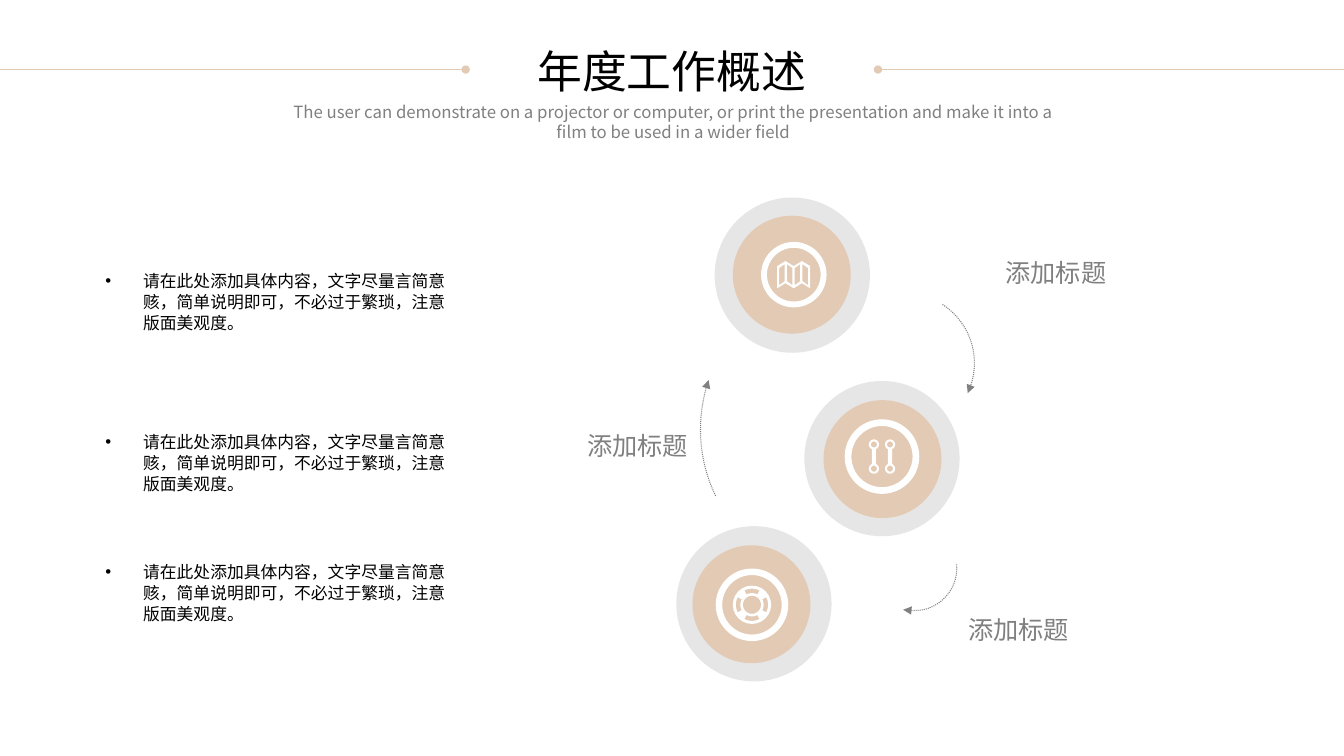
from dataclasses import dataclass
from math import cos, radians, sin

from lxml.etree import SubElement
from pptx import Presentation
from pptx.dml.color import RGBColor
from pptx.enum.dml import MSO_LINE
from pptx.enum.shapes import MSO_CONNECTOR, MSO_SHAPE
from pptx.enum.text import MSO_ANCHOR, MSO_AUTO_SIZE, PP_ALIGN
from pptx.oxml.ns import qn
from pptx.util import Inches, Pt

# Square grid: one cell is a tenth of an inch, so 133.33 columns by 75 rows
CELL = Inches(0.1)
COLUMNS, ROWS = 133.33, 75
FONT = "Noto Sans CJK SC"
BLACK = RGBColor(0x00, 0x00, 0x00)
WHITE = RGBColor(0xFF, 0xFF, 0xFF)
GRAY = RGBColor(0x80, 0x80, 0x80)
PALE_GRAY = RGBColor(0xE6, 0xE6, 0xE6)
SAND = RGBColor(0xE3, 0xCA, 0xB4)

BULLET = "请在此处添加具体内容，文字尽量言简意赅，简单说明即可，不必过于繁琐，注意版面美观度。"
SUBTITLE = ("The user can demonstrate on a projector or computer, or print the "
            "presentation and make it into a film to be used in a wider field")

Point = tuple[float, float]
Contour = list[Point]


@dataclass
class Badge:
    halo: Point
    disc: Point
    ring: Point
    ring_size: float
    icon: list[Contour]


@dataclass
class Label:
    left: float
    top: float


@dataclass
class Rule:
    start: float
    end: float
    dot: str


def cells(value: float) -> int:
    return round(value * CELL)


def arc(center: Point, radius: float, start: float = 0, end: float = 360) -> Contour:
    """Points on a circle, clockwise, in degrees from the right."""
    steps = 24
    angles = [radians(start + (end - start) * i / steps) for i in range(steps + 1)]
    return [(center[0] + radius * cos(a), center[1] + radius * sin(a)) for a in angles]


def curve(*controls: Point) -> Contour:
    """Points on a chain of cubic curves that share their end points."""
    points = [controls[0]]
    for first in range(0, len(controls) - 1, 3):
        a, b, c, d = controls[first:first + 4]
        for i in range(1, 17):
            t = i / 16
            weights = ((1 - t) ** 3, 3 * t * (1 - t) ** 2, 3 * t * t * (1 - t), t ** 3)
            points.append(tuple(sum(w * p[k] for w, p in zip(weights, (a, b, c, d)))
                                for k in (0, 1)))
    return points


def lifebuoy(center: Point) -> list[Contour]:
    bands = [arc(center, 1.6, middle - 28, middle + 28)
             + arc(center, 1.15, middle + 28, middle - 28)
             for middle in range(0, 360, 90)]
    return [arc(center, 1.9), arc(center, 0.9), *bands]


def wrenches(center: Point) -> list[Contour]:
    contours = []
    for x in (center[0] - 0.8, center[0] + 0.8):
        top, bottom = (x, center[1] - 1.2), (x, center[1] + 1.2)
        contours.append(arc(top, 0.5, 114, 426) + arc(bottom, 0.5, -66, 246))
        contours += [arc(top, 0.3), arc(bottom, 0.3)]
    return contours


def folded_map(left: float, top: float) -> list[Contour]:
    folds = [(left + 0.82 * i, top + 0.5 * (i % 2 == 0)) for i in range(5)]
    contours = [folds + [(x, y + 2.2) for x, y in reversed(folds)]]
    for i in range(4):
        x = left + 0.2 + 0.77 * i
        start, end = (0.7, 0.3) if i % 2 == 0 else (0.3, 0.7)
        contours.append([(x, top + start), (x + 0.55, top + end),
                         (x + 0.55, top + end + 1.7), (x, top + start + 1.7)])
    return contours


BADGES = [
    Badge((67.1, 52.2), (68.7, 54.1), (71, 56.4), 7.2, lifebuoy((74.6, 60))),
    Badge((79.8, 37.8), (81.7, 39.7), (83.8, 41.6), 7.4, wrenches((87.5, 45.3))),
    Badge((70.9, 19.6), (72.7, 21.4), (75.5, 24), 6.5, folded_map(77.1, 25.9)),
]
LABELS = [Label(96.5, 24.4), Label(92.8, 59.9), Label(55, 41.6)]
ARROWS = [
    curve((93.5, 30.2), (96.4, 32.1), (97.5, 35.8), (96, 39)),
    curve((71, 49.2), (69.3, 45.7), (69, 41.6), (70.3, 37.7)),
    curve((94.9, 56), (95.1, 58.1), (93.7, 60), (91.6, 60.5),
          (90.9, 60.6), (90.2, 60.6), (89.6, 60.5)),
]
RULES = [Rule(0, 46.2, "a:tailEnd"), Rule(87.1, COLUMNS, "a:headEnd")]
BULLET_GAPS = [0, 69.5, 48]


def place(shape, left: float, top: float, width: float, height: float) -> None:
    shape.left, shape.top = cells(left), cells(top)
    shape.width, shape.height = cells(width), cells(height)


def format_text(paragraph, size: float, color: RGBColor) -> None:
    for run in paragraph.runs:
        run.font.size = Pt(size)
        run.font.name = FONT
        run.font.color.rgb = color
        SubElement(run.font._element, qn("a:ea"), typeface=FONT)


def paint(shape, color: RGBColor) -> None:
    shape.shadow.inherit = False
    shape.fill.solid()
    shape.fill.fore_color.rgb = color
    shape.line.fill.background()


def add_round(slide, kind: MSO_SHAPE, corner: Point, size: float, color: RGBColor):
    shape = slide.shapes.add_shape(kind, *map(cells, (*corner, size, size)))
    paint(shape, color)
    return shape


def add_outline(slide, contours: list[Contour], close: bool):
    contours = [[(cells(x), cells(y)) for x, y in contour] for contour in contours]
    builder = slide.shapes.build_freeform(*contours[0][0])
    for contour in contours:
        if contour is not contours[0]:
            builder.move_to(*contour[0])
        builder.add_line_segments(contour[1:], close=close)
    return builder.convert_to_shape()


def add_badge(slide, badge: Badge) -> None:
    add_round(slide, MSO_SHAPE.OVAL, badge.halo, 15.4, PALE_GRAY)
    add_round(slide, MSO_SHAPE.OVAL, badge.disc, 11.7, SAND)
    ring = add_round(slide, MSO_SHAPE.DONUT, badge.ring, badge.ring_size, WHITE)
    ring.adjustments[0] = 0.09
    paint(add_outline(slide, badge.icon, close=True), WHITE)


def add_arrow(slide, points: Contour) -> None:
    arrow = add_outline(slide, [points], close=False)
    arrow.shadow.inherit = False
    arrow.fill.background()
    arrow.line.color.rgb = GRAY
    arrow.line.width = Pt(0.75)
    arrow.line.dash_style = MSO_LINE.ROUND_DOT
    SubElement(arrow.line._get_or_add_ln(), qn("a:tailEnd"), type="triangle")


def add_rule(slide, rule: Rule) -> None:
    line = slide.shapes.add_connector(
        MSO_CONNECTOR.STRAIGHT, *map(cells, (rule.start, 6.9, rule.end, 6.9)))
    line.line.color.rgb = SAND
    line.line.width = Pt(0.5)
    SubElement(line.line._get_or_add_ln(), qn(rule.dot), type="oval")
    SubElement(line._element.spPr, qn("a:effectLst"))


def add_caption(slide, text: str, box: tuple, size: float, spacing: float) -> None:
    frame = slide.shapes.add_textbox(*map(cells, box)).text_frame
    frame.word_wrap = True
    frame.text = text
    paragraph = frame.paragraphs[0]
    paragraph.alignment = PP_ALIGN.CENTER
    paragraph.line_spacing = spacing
    format_text(paragraph, size, GRAY)


def fill_title(title) -> None:
    place(title, 52.3, 3.8, 28.7, 6.4)
    frame = title.text_frame
    frame.text = "年度工作概述"
    frame.word_wrap = False
    frame.auto_size = MSO_AUTO_SIZE.NONE
    frame.vertical_anchor = MSO_ANCHOR.MIDDLE
    frame.paragraphs[0].alignment = PP_ALIGN.CENTER
    format_text(frame.paragraphs[0], 32, BLACK)


def fill_body(body) -> None:
    place(body, 9.45, 26.3, 36.7, 36)
    frame = body.text_frame
    frame.text = "\n".join([BULLET] * len(BULLET_GAPS))
    frame.auto_size = MSO_AUTO_SIZE.NONE
    frame.vertical_anchor = MSO_ANCHOR.TOP
    for paragraph, gap in zip(frame.paragraphs, BULLET_GAPS):
        paragraph.line_spacing = Pt(15)
        paragraph.space_before = Pt(gap)
        format_text(paragraph, 12, BLACK)


def main() -> None:
    presentation = Presentation()
    presentation.slide_width, presentation.slide_height = cells(COLUMNS), cells(ROWS)
    slide = presentation.slides.add_slide(presentation.slide_layouts[1])
    # Heading
    fill_title(slide.shapes.title)
    add_caption(slide, SUBTITLE, (27.5, 9.6, 78.6, 5), 12, 1)
    for rule in RULES:
        add_rule(slide, rule)
    # Bullets on the left
    fill_body(slide.placeholders[1])
    # Cycle on the right
    for badge in BADGES:
        add_badge(slide, badge)
    for label in LABELS:
        add_caption(slide, "添加标题", (label.left, label.top, 16.5, 5.3), 18, 1.2)
    for points in ARROWS:
        add_arrow(slide, points)
    presentation.save("out.pptx")


if __name__ == "__main__":
    main()
